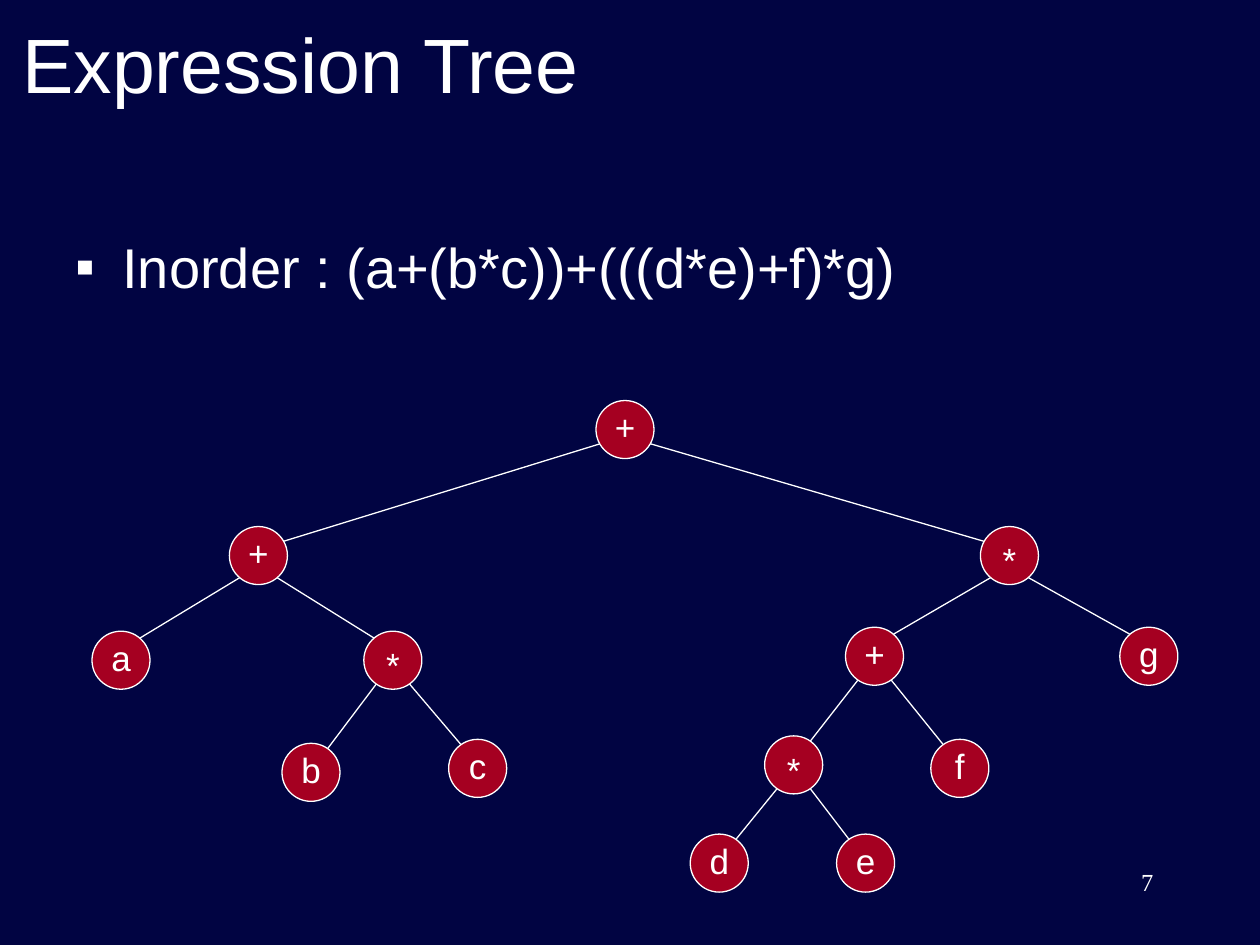
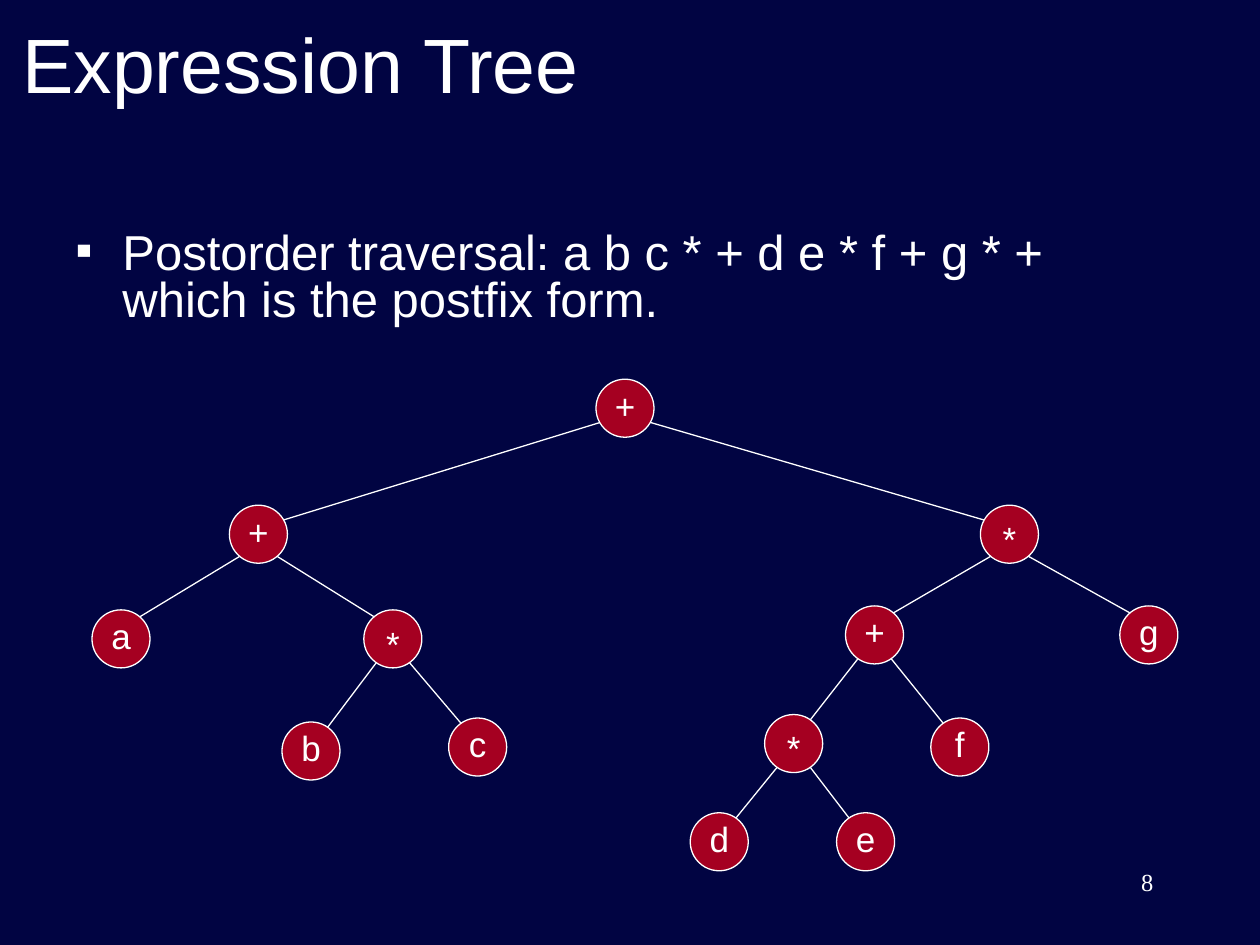
from dataclasses import dataclass

import lxml.etree
import pptx
import pptx.dml.color
import pptx.enum.shapes
import pptx.enum.text
import pptx.oxml.ns
import pptx.presentation
import pptx.shapes.group
import pptx.slide
import pptx.text.text
import pptx.util
from pptx.util import Cm

# Shared look
NAVY = pptx.dml.color.RGBColor(0x01, 0x04, 0x42)
CRIMSON = pptx.dml.color.RGBColor(0xA5, 0x00, 0x21)
WHITE = pptx.dml.color.RGBColor(0xFF, 0xFF, 0xFF)
SANS = "Arial"
SERIF = "Times New Roman"
ALIGN = pptx.enum.text.PP_ALIGN
ANCHOR = pptx.enum.text.MSO_ANCHOR

# Tree measures, in centimetres
NODE_SIZE = 1.17
LABEL_WIDTH, LABEL_HEIGHT = 1.5, 1.12
LABEL_RISE = 0.61
STAR_DROP = 0.15  # the asterisk sits high in its line
EDGE_INSET_X = 0.32
EDGE_INSETS_Y = (0.23, 0.41, 0.46, 0.46)  # by level of the parent
ROOT_X = 12.6


@dataclass(frozen=True)
class Node:
    """A tree node: centre x, and depth of its centre below the root."""
    label: str
    x: float
    depth: float = 0
    children: tuple["Node", ...] = ()


@dataclass(frozen=True)
class Traversal:
    """What differs from slide to slide."""
    lines: tuple[str, ...]
    size: int
    line_spacing: float
    root_y: float
    number: int


@dataclass(frozen=True)
class Box:
    """Left, top, width and height in centimetres."""
    left: float
    top: float
    width: float
    height: float

    def lengths(self) -> tuple[Cm, Cm, Cm, Cm]:
        return Cm(self.left), Cm(self.top), Cm(self.width), Cm(self.height)


TITLE_BOX = Box(0.2, 0, 22.86, 2.54)
BODY_BOX = Box(1.27, 4.56, 22.86, 2.34)
NUMBER_BOX = Box(18.2, 17.35, 5.3, 1.27)

EXPRESSION = Node("+", ROOT_X, 0, (
    Node("+", 5.21, 2.54, (
        Node("a", 2.44, 4.65),
        Node("*", 7.92, 4.65, (
            Node("b", 6.27, 6.91),
            Node("c", 9.63, 6.83))))),
    Node("*", 20.35, 2.54, (
        Node("+", 17.63, 4.57, (
            Node("*", 16, 6.76, (
                Node("d", 14.5, 8.74),
                Node("e", 17.45, 8.74))),
            Node("f", 19.35, 6.83))),
        Node("g", 23.16, 4.57)))))

TRAVERSALS = (
    Traversal(("Inorder : (a+(b*c))+(((d*e)+f)*g)",), 32, 1.0, 8.66, 7),
    Traversal(("Postorder traversal: a b c * + d e * f + g * +",
               "which is the postfix form."), 28, 0.8, 8.23, 8),
)


def add_text(shapes, box: Box, lines: tuple[str, ...], size: int,
             font: str = SANS, align: ALIGN = ALIGN.LEFT,
             anchor: ANCHOR = ANCHOR.TOP) -> pptx.text.text._Paragraph:
    """Write one paragraph, broken into the given lines."""
    frame = shapes.add_textbox(*box.lengths()).text_frame
    frame.word_wrap = True
    frame.vertical_anchor = anchor
    paragraph = frame.paragraphs[0]
    paragraph.alignment = align
    for index, line in enumerate(lines):
        if index:
            paragraph.add_line_break()
        run = paragraph.add_run()
        run.text = line
        run.font.name = font
        run.font.size = pptx.util.Pt(size)
        run.font.color.rgb = WHITE
    return paragraph


def add_bullet(paragraph: pptx.text.text._Paragraph) -> None:
    """Give the paragraph a white square with a hanging indent."""
    qn = pptx.oxml.ns.qn
    properties = paragraph._p.get_or_add_pPr()
    properties.set("marL", str(Cm(0.95)))
    properties.set("indent", str(Cm(-0.95)))
    colour = lxml.etree.SubElement(properties, qn("a:buClr"))
    lxml.etree.SubElement(colour, qn("a:srgbClr"), val=str(WHITE))
    lxml.etree.SubElement(properties, qn("a:buFont"), typeface=SANS)
    lxml.etree.SubElement(properties, qn("a:buChar"), char="▪")


def add_edge(tree: pptx.shapes.group.GroupShape, parent: Node, child: Node,
             root_y: float, level: int) -> None:
    inset_x = EDGE_INSET_X if child.x > parent.x else -EDGE_INSET_X
    inset_y = EDGE_INSETS_Y[level]
    edge = tree.shapes.add_connector(
        pptx.enum.shapes.MSO_CONNECTOR.STRAIGHT,
        Cm(parent.x + inset_x), Cm(root_y + parent.depth + inset_y),
        Cm(child.x - inset_x), Cm(root_y + child.depth - inset_y))
    edge.line.color.rgb = WHITE
    edge.line.width = pptx.util.Pt(0.75)
    lxml.etree.SubElement(edge._element.spPr, pptx.oxml.ns.qn("a:effectLst"))


def add_node(tree: pptx.shapes.group.GroupShape, node: Node,
             root_y: float) -> None:
    y = root_y + node.depth
    circle_box = Box(node.x - NODE_SIZE / 2, y - NODE_SIZE / 2,
                     NODE_SIZE, NODE_SIZE)
    circle = tree.shapes.add_shape(pptx.enum.shapes.MSO_SHAPE.OVAL,
                                   *circle_box.lengths())
    circle.shadow.inherit = False
    circle.fill.solid()
    circle.fill.fore_color.rgb = CRIMSON
    circle.line.color.rgb = WHITE
    circle.line.width = pptx.util.Pt(0.75)
    drop = STAR_DROP if node.label == "*" else 0
    label_box = Box(node.x - LABEL_WIDTH / 2, y - LABEL_RISE + drop,
                    LABEL_WIDTH, LABEL_HEIGHT)
    add_text(tree.shapes, label_box, (node.label,), 20, align=ALIGN.CENTER)


def add_subtree(tree: pptx.shapes.group.GroupShape, node: Node,
                root_y: float, level: int = 0) -> None:
    """Draw the edges below a node, its subtrees, then the node on top."""
    for child in node.children:
        add_edge(tree, node, child, root_y, level)
        add_subtree(tree, child, root_y, level + 1)
    add_node(tree, node, root_y)


def add_traversal_slide(deck: pptx.presentation.Presentation,
                        traversal: Traversal) -> None:
    slide = deck.slides.add_slide(deck.slide_layouts[6])
    slide.background.fill.solid()
    slide.background.fill.fore_color.rgb = NAVY

    # Title and traversal text
    add_text(slide.shapes, TITLE_BOX, ("Expression Tree",), 44,
             anchor=ANCHOR.MIDDLE)
    body = add_text(slide.shapes, BODY_BOX, traversal.lines, traversal.size)
    body.line_spacing = traversal.line_spacing
    add_bullet(body)

    # Tree
    add_subtree(slide.shapes.add_group_shape(), EXPRESSION, traversal.root_y)

    # Slide number
    add_text(slide.shapes, NUMBER_BOX, (str(traversal.number),), 14,
             font=SERIF, align=ALIGN.RIGHT)


def main() -> None:
    deck = pptx.Presentation()
    deck.slide_width, deck.slide_height = Cm(25.4), Cm(19.05)
    for traversal in TRAVERSALS:
        add_traversal_slide(deck, traversal)
    deck.save("out.pptx")


if __name__ == "__main__":
    main()
